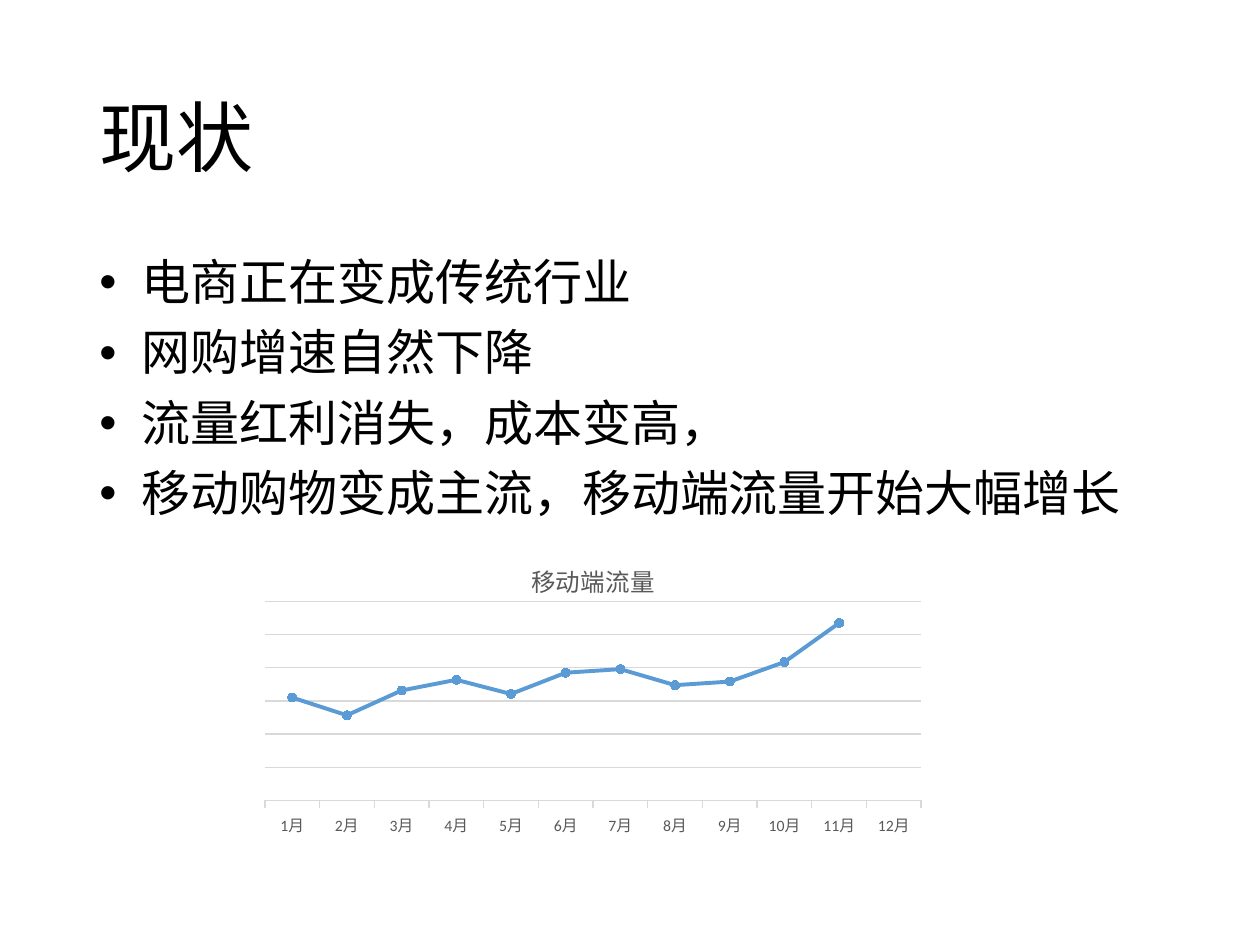
"""Builds the slide on the current state of mobile e-commerce traffic."""
from lxml.etree import SubElement
from pptx import Presentation
from pptx.chart.data import CategoryChartData
from pptx.dml.color import RGBColor
from pptx.enum.chart import XL_CHART_TYPE, XL_MARKER_STYLE, XL_TICK_MARK
from pptx.enum.text import MSO_ANCHOR, PP_ALIGN
from pptx.oxml import parse_xml
from pptx.oxml.ns import nsdecls, qn
from pptx.util import Inches, Pt

CJK = "Noto Sans CJK SC"
LATIN = "Calibri"
BLACK, GREY, PALE, BLUE = "000000", "595959", "D9D9D9", "5B9BD5"
POINTS = ["电商正在变成传统行业", "网购增速自然下降", "流量红利消失，成本变高，",
          "移动购物变成主流，移动端流量开始大幅增长"]
TRAFFIC = [58, 48, 62, 68, 60, 72, 74, 65, 67, 78, 100, None]
PLOT = {"x": 0.031, "y": 0.182, "w": 0.937, "h": 0.608}


def rgb(value):
    return RGBColor.from_string(value)


def apply(obj, **values):
    for name, value in values.items():
        setattr(obj, name, value)


class Deck:
    def __init__(self):
        self.prs = Presentation()
        apply(self.prs, slide_width=Inches(10), slide_height=Inches(7.5))
        self.s = self.prs.slides.add_slide(self.prs.slide_layouts[5])

    def font(self, font, size, color, name):
        apply(font, size=Pt(size), name=name, bold=False)
        font.color.rgb = rgb(color)

    def line(self, line, color, width):
        line.color.rgb = rgb(color)
        line.width = Pt(width)

    def place(self, sp, box):
        apply(sp, **dict(zip(("left", "top", "width", "height"), map(Inches, box))))

    def run(self, p, text, size):
        r = p.add_run()
        r.text = text
        self.font(r.font, size, BLACK, CJK)
        SubElement(r.font._element, qn("a:ea"), typeface=CJK)
        apply(p, alignment=PP_ALIGN.LEFT, line_spacing=0.9)

    def title(self, text, box):
        sp = self.s.shapes.title
        self.place(sp, box)
        apply(sp.text_frame, vertical_anchor=MSO_ANCHOR.MIDDLE, word_wrap=True)
        self.run(sp.text_frame.paragraphs[0], text, 44)

    def bullets(self, items, box):
        tf = self.s.shapes.add_textbox(*map(Inches, box)).text_frame
        tf.word_wrap = True
        for i, item in enumerate(items):
            p = tf.add_paragraph() if i else tf.paragraphs[0]
            self.run(p, f" {item}", 28)
            p.space_before = Pt(10)
            pPr = p._p.get_or_add_pPr()
            pPr.set("marL", str(Inches(0.25)))
            pPr.set("indent", str(Inches(-0.25)))
            SubElement(pPr, qn("a:buFont"), typeface="Arial")
            SubElement(pPr, qn("a:buChar"), char="•")

    def line_chart(self, title, categories, values, box):
        data = CategoryChartData()
        data.categories = categories
        data.add_series("Series 1", values)
        chart = self.s.shapes.add_chart(
            XL_CHART_TYPE.LINE_MARKERS, *map(Inches, box), data).chart
        self.font(chart.font, 10, BLACK, LATIN)
        chart.has_legend = False
        p = chart.chart_title.text_frame.paragraphs[0]
        r = p.add_run()
        r.text = title
        self.font(r.font, 14, GREY, LATIN)
        chart.chart_title.include_in_layout = False

        axis = chart.category_axis
        axis.major_tick_mark = XL_TICK_MARK.OUTSIDE
        self.font(axis.tick_labels.font, 9, GREY, LATIN)
        self.line(axis.format.line, PALE, 0.75)
        axis = chart.value_axis
        apply(axis, visible=False, has_major_gridlines=True,
              minimum_scale=0, maximum_scale=112.2, major_unit=18.7)
        self.line(axis.major_gridlines.format.line, PALE, 0.75)

        plot = chart.plots[0]
        plot.vary_by_categories = False
        series = plot.series[0]
        series.smooth = False
        self.line(series.format.line, BLUE, 2.25)
        apply(series.marker, style=XL_MARKER_STYLE.CIRCLE, size=5)
        series.marker.format.fill.solid()
        series.marker.format.fill.fore_color.rgb = rgb(BLUE)
        self.line(series.marker.format.line, BLUE, 0.75)
        self.plot_layout(chart)

    def plot_layout(self, chart):
        area = chart._chartSpace.chart.plotArea
        for old in area.findall(qn("c:layout")):
            area.remove(old)
        modes = "".join(f'<c:{k}Mode val="edge"/>' for k in "xy")
        sizes = "".join(f'<c:{k} val="{v}"/>' for k, v in PLOT.items())
        area.insert(0, parse_xml(
            f'<c:layout {nsdecls("c")}><c:manualLayout><c:layoutTarget val="inner"/>'
            f'{modes}{sizes}</c:manualLayout></c:layout>'))


def main():
    deck = Deck()
    deck.title("现状", (0.69, 0.4, 8.62, 1.45))
    deck.bullets(POINTS, (0.69, 2, 8.62, 4.76))
    months = [f"{m}月" for m in range(1, 13)]
    deck.line_chart("移动端流量", months, TRAFFIC, (1.93, 4.3, 5.56, 2.6))
    deck.prs.save("out.pptx")


if __name__ == "__main__":
    main()
